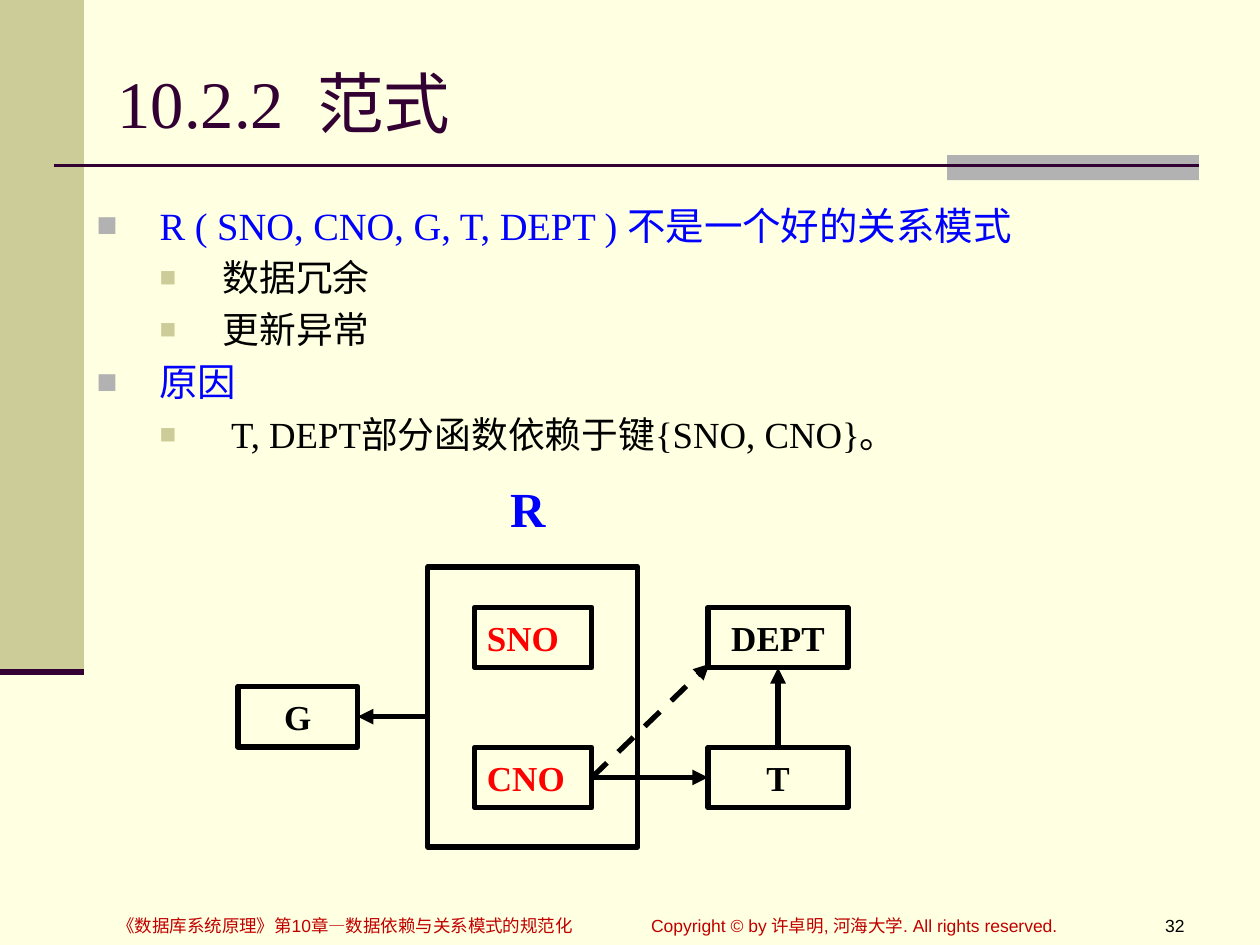
from lxml.etree import SubElement
from pptx import Presentation
from pptx.dml.color import RGBColor
from pptx.enum.dml import MSO_LINE as Dash
from pptx.enum.shapes import MSO_CONNECTOR as Link, MSO_SHAPE as Shape
from pptx.enum.text import MSO_ANCHOR as Anchor, MSO_AUTO_SIZE as Fit, PP_ALIGN as Align
from pptx.oxml.ns import qn
from pptx.util import Pt

CREAM = RGBColor(0xFF, 0xFF, 0xE1)
KHAKI = RGBColor(0xCC, 0xCC, 0x99)
GRAY = RGBColor(0xB2, 0xB2, 0xB2)
PLUM = RGBColor(0x33, 0x00, 0x33)
BLACK = RGBColor(0x00, 0x00, 0x00)
BLUE = RGBColor(0x00, 0x00, 0xFF)
RED = RGBColor(0xFF, 0x00, 0x00)
CRIMSON = RGBColor(0xC0, 0x00, 0x00)
SERIF, SANS = "Times New Roman", "Arial"

# text size, text colour, bullet colour, bullet size in percent
LEVELS = [(22, BLUE, GRAY, 90), (21, BLACK, KHAKI, 75)]
POINTS = [
    (0, "R ( SNO, CNO, G, T, DEPT ) 不是一个好的关系模式"),
    (1, "数据冗余"),
    (1, "更新异常"),
    (0, "原因"),
    (1, " T, DEPT部分函数依赖于键{SNO, CNO}。"),
]
BOX_H = 34.6
ROW_1, ROW_2 = 347, 427


def style(para, size, color, name=SERIF, bold=False, align=Align.LEFT):
    para.alignment = align
    font = para.font
    font.size, font.name, font.bold = Pt(size), name, bold
    font.color.rgb = color


def place(shape, x, y, w, h):
    shape.left, shape.top, shape.width, shape.height = Pt(x), Pt(y), Pt(w), Pt(h)


def add_bar(slide, x, y, w, h, color):
    bar = slide.shapes.add_shape(Shape.RECTANGLE, Pt(x), Pt(y), Pt(w), Pt(h))
    bar.shadow.inherit = False
    bar.fill.solid()
    bar.fill.fore_color.rgb = color
    bar.line.fill.background()


def add_box(slide, x, y, w, h, text="", color=BLACK, align=Align.CENTER):
    box = slide.shapes.add_shape(Shape.RECTANGLE, Pt(x), Pt(y), Pt(w), Pt(h))
    box.shadow.inherit = False
    box.fill.background()
    box.line.color.rgb = BLACK
    box.line.width = Pt(3)
    if text:
        para = box.text_frame.paragraphs[0]
        para.text = text
        style(para, 20, color, bold=True, align=align)
    return box


def add_line(slide, start, end, color, width):
    line = slide.shapes.add_connector(Link.STRAIGHT, *map(Pt, start + end))
    line.line.color.rgb = color
    line.line.width = Pt(width)
    SubElement(line._element.spPr, qn("a:effectLst"))
    return line


def add_arrow(slide, start, end, dash=None):
    """Each end is a point, or a pair of a box and the number of its side."""
    ends = [(0, 0) if hasattr(e[0], "shape_id") else e for e in (start, end)]
    arrow = add_line(slide, *ends, BLACK, 3)
    if hasattr(start[0], "shape_id"):
        arrow.begin_connect(*start)
    if hasattr(end[0], "shape_id"):
        arrow.end_connect(*end)
    if dash:
        arrow.line.dash_style = dash
    SubElement(arrow.line._get_or_add_ln(), qn("a:tailEnd"), type="triangle")


def add_label(slide, x, y, w, h, text, size, color, anchor=Anchor.MIDDLE, **kind):
    frame = slide.shapes.add_textbox(Pt(x), Pt(y), Pt(w), Pt(h)).text_frame
    frame.word_wrap = True
    frame.vertical_anchor = anchor
    para = frame.paragraphs[0]
    para.text = text
    style(para, size, color, **kind)


def add_bullet(para, color, size):
    props = para._p.get_or_add_pPr()
    props.set("marL", str(Pt(36 * (para.level + 1))))
    props.set("indent", str(-Pt(36)))
    tint = SubElement(props, qn("a:buClr"))
    SubElement(tint, qn("a:srgbClr"), val=str(color))
    SubElement(props, qn("a:buSzPct"), val=str(size * 1000))
    SubElement(props, qn("a:buFont"), typeface=SANS)
    SubElement(props, qn("a:buChar"), char="■")


def fill_title(slide):
    title = slide.shapes.title
    place(title, 60, 21.6, 624, 72.7)
    frame = title.text_frame
    frame.auto_size = Fit.NONE
    frame.vertical_anchor = Anchor.MIDDLE
    frame.text = "10.2.2  范式"
    style(frame.paragraphs[0], 38, PLUM)


def fill_body(slide):
    body = slide.placeholders[1]
    place(body, 48, 111.6, 636, 396.7)
    frame = body.text_frame
    frame.auto_size = Fit.NONE
    for i, (level, text) in enumerate(POINTS):
        para = frame.add_paragraph() if i else frame.paragraphs[0]
        size, color, tint, scale = LEVELS[level]
        para.text = text
        para.level = level
        para.space_before = Pt(size * 0.2 if i else 0)
        add_bullet(para, tint, scale)
        style(para, size, color)


def add_frame(slide):
    add_bar(slide, 0, 0, 48, 384, KHAKI)
    add_bar(slide, 541.2, 88.6, 144, 14.4, GRAY)
    add_line(slide, (31, 94.5), (685.2, 94.5), PLUM, 1.5)
    add_line(slide, (0, 384), (48, 384), PLUM, 3.5)


def add_diagram(slide):
    add_label(slide, 284.4, 270, 80, BOX_H, "R", 28, BLUE, Anchor.TOP, bold=True)
    add_box(slide, 244.5, 324, 120, 160)
    add_box(slide, 271.2, ROW_1, 67, BOX_H, "SNO", RED, Align.JUSTIFY)
    cno = add_box(slide, 271.2, ROW_2, 67, BOX_H, "CNO", RED, Align.JUSTIFY)
    g = add_box(slide, 136, 392.2, 68.4, BOX_H, "G")
    dept = add_box(slide, 404.6, ROW_1, 80, BOX_H, "DEPT")
    t = add_box(slide, 404.6, ROW_2, 80, BOX_H, "T")
    add_arrow(slide, (244.5, 409.5), (g, 3))
    add_arrow(slide, (cno, 3), (405.4, 379.4), Dash.DASH)
    add_arrow(slide, (cno, 3), (t, 1))
    add_arrow(slide, (t, 0), (dept, 2))


def add_footer(slide):
    top, high = 519, 19.4
    add_label(slide, 60, top, 294.5, high,
              "《数据库系统原理》第10章—数据依赖与关系模式的规范化", 10, CRIMSON, name=SANS)
    add_label(slide, 365, top, 260.6, high,
              "Copyright © by 许卓明, 河海大学. All rights reserved.", 10, CRIMSON, name=SANS)
    add_label(slide, 643.7, top, 40.3, high, "32", 10, BLACK, name=SANS, align=Align.RIGHT)


def main():
    deck = Presentation()
    deck.slide_width, deck.slide_height = Pt(720), Pt(540)
    slide = deck.slides.add_slide(deck.slide_layouts[1])
    slide.background.fill.solid()
    slide.background.fill.fore_color.rgb = CREAM
    add_frame(slide)
    fill_title(slide)
    fill_body(slide)
    add_diagram(slide)
    add_footer(slide)
    deck.save("out.pptx")


if __name__ == "__main__":
    main()
